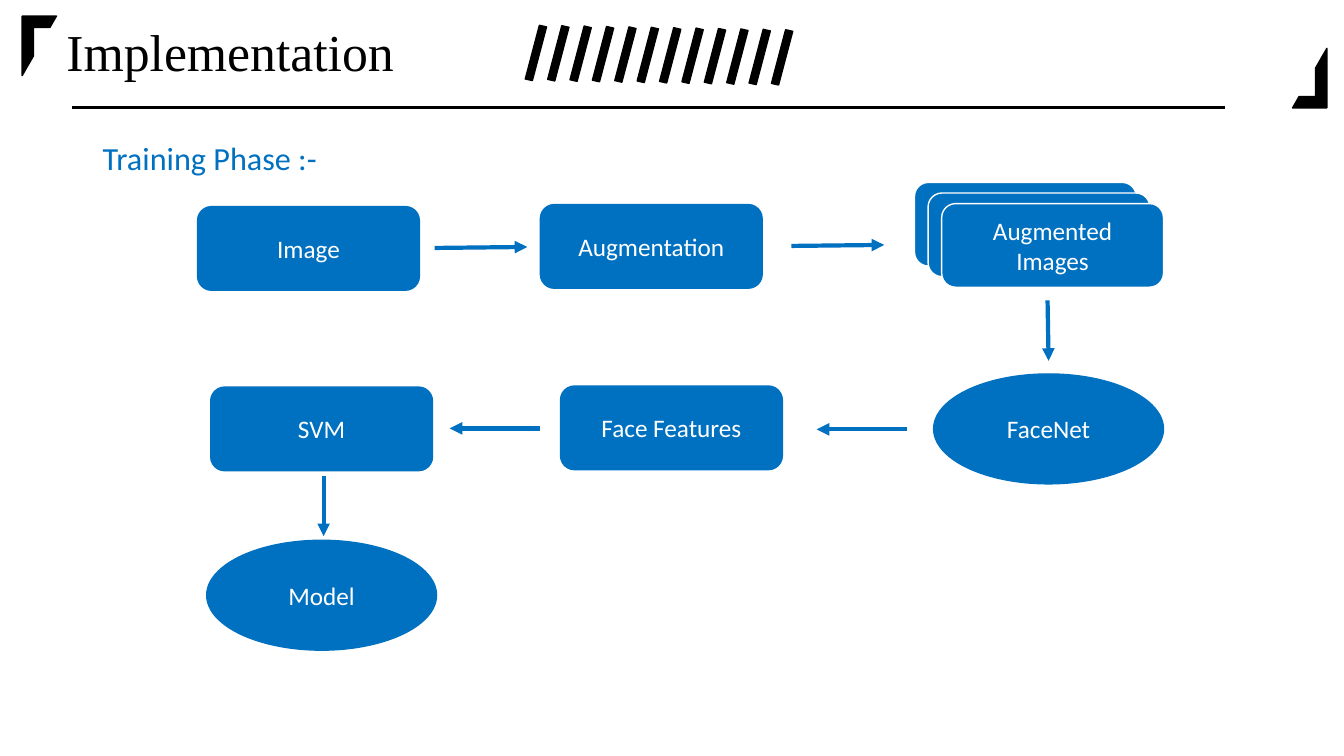
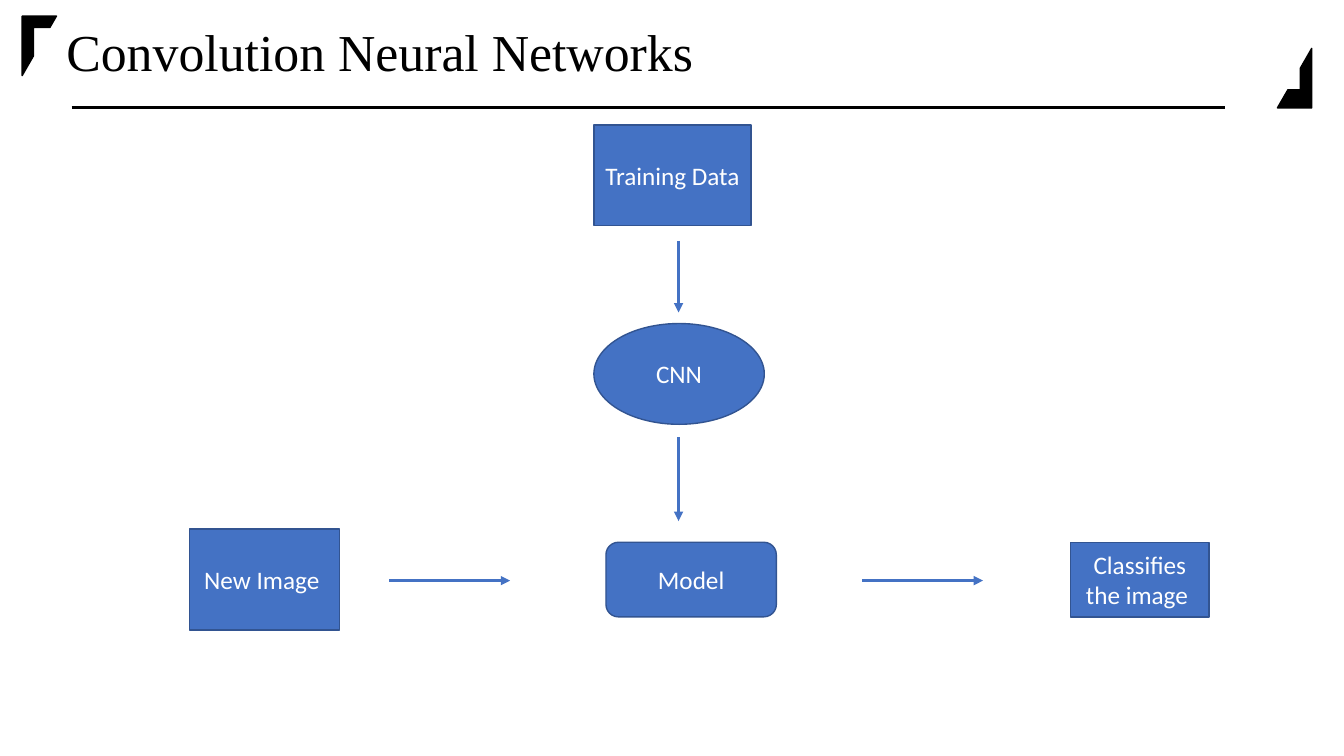
import pptx
import pptx.util
import pptx.dml.color
import pptx.enum.shapes
import pptx.enum.text
import pptx.oxml
import pptx.oxml.ns

Inches = pptx.util.Inches
Pt = pptx.util.Pt
SHAPE = pptx.enum.shapes.MSO_SHAPE
MIDDLE = pptx.enum.text.MSO_ANCHOR.MIDDLE
CENTER = pptx.enum.text.PP_ALIGN.CENTER

BLACK, WHITE = "000000", "FFFFFF"
BLUE = "0070C0"
ACCENT, ACCENT_EDGE = "4472C4", "325491"
TITLE_FONT, BODY_FONT = "Times New Roman", "Calibri"


def color(value):
    return pptx.dml.color.RGBColor.from_string(value)


def write(shape, text, size, font, ink, align=None):
    frame = shape.text_frame
    frame.word_wrap = True
    frame.text = text
    paragraph = frame.paragraphs[0]
    paragraph.alignment = align
    run = paragraph.runs[0]
    run.font.size = Pt(size)
    run.font.name = font
    run.font.color.rgb = color(ink)
    return paragraph


def add_text(slide, box, text, size, font, ink):
    shape = slide.shapes.add_textbox(*map(Inches, box))
    return shape, write(shape, text, size, font, ink)


def add_shape(slide, kind, box, fill, edge, label=None, rotation=0):
    shape = slide.shapes.add_shape(kind, *map(Inches, box))
    shape.shadow.inherit = False
    shape.fill.solid()
    shape.fill.fore_color.rgb = color(fill)
    shape.line.color.rgb = color(edge)
    shape.line.width = Pt(1)
    shape.rotation = rotation
    if label:
        shape.text_frame.vertical_anchor = MIDDLE
        write(shape, label, 18, BODY_FONT, WHITE, CENTER)
    return shape


def add_line(slide, start, end, ink, width, arrow=False):
    line = slide.shapes.add_connector(
        pptx.enum.shapes.MSO_CONNECTOR.STRAIGHT, *map(Inches, (*start, *end)))
    line.line.color.rgb = color(ink)
    line.line.width = Pt(width)
    if arrow:
        tail = pptx.oxml.parse_xml(
            f'<a:tailEnd {pptx.oxml.ns.nsdecls("a")} type="triangle"/>')
        line.line._get_or_add_ln().append(tail)
    line._element.spPr.append(pptx.oxml.parse_xml(
        f'<a:effectLst {pptx.oxml.ns.nsdecls("a")}/>'))


def add_header(slide, title, corner_left, corner_thickness):
    shape, paragraph = add_text(
        slide, (0.56, 0.01, 12.56, 1.06), title, 37, TITLE_FONT, BLACK)
    shape.fill.solid()
    shape.fill.fore_color.rgb = color(WHITE)
    shape.text_frame.vertical_anchor = MIDDLE
    paragraph.line_spacing = 0.9
    add_shape(slide, SHAPE.HALF_FRAME, (0.22, 0.16, 0.34, 0.59), BLACK, BLACK)
    corner = add_shape(slide, SHAPE.HALF_FRAME, (corner_left, 0.48, 0.34, 0.59),
                       BLACK, BLACK, rotation=180)
    corner.adjustments[0] = corner_thickness
    add_line(slide, (0.71, 1.07), (12.15, 1.07), BLACK, 2.25)


def add_slashes(slide, left, top, count=12, pitch=0.222, drift=0.004):
    for index in range(count):
        box = (left + index * pitch, top + index * drift, 0.09, 0.55)
        add_shape(slide, SHAPE.FLOWCHART_DATA, box, BLACK, BLACK, rotation=12.9)


def add_flow(slide, left, top, nodes, arrows, fill, edge, arrow_width):
    for kind, x, y, width, height, label in nodes:
        add_shape(slide, kind, (left + x, top + y, width, height), fill, edge, label)
    for x, y, dx, dy in arrows:
        start = (left + x, top + y)
        add_line(slide, start, (start[0] + dx, start[1] + dy), fill, arrow_width, True)


def add_image_stack(slide, left, top, label):
    for index, text in enumerate((None, None, label)):
        box = (left + 0.135 * index, top + 0.105 * index, 2.2, 0.83)
        add_shape(slide, SHAPE.ROUNDED_RECTANGLE, box, BLUE, WHITE, text)


def build_training_slide(slide):
    add_header(slide, "Implementation", 12.82, 0.333)
    add_slashes(slide, 5.27, 0.25)
    add_text(slide, (0.92, 1.32, 2.78, 0.49), "Training Phase :-", 23, BODY_FONT, BLUE)
    left, top = 1.96, 1.81
    step, model = (2.2, 0.83), (2.28, 1.09)
    nodes = [
        (SHAPE.ROUNDED_RECTANGLE, 0, 0.24, *step, "Image"),
        (SHAPE.ROUNDED_RECTANGLE, 3.4, 0.22, *step, "Augmentation"),
        (SHAPE.OVAL, 7.3, 1.9, *model, "FaceNet"),
        (SHAPE.ROUNDED_RECTANGLE, 3.6, 2.02, *step, "Face Features"),
        (SHAPE.ROUNDED_RECTANGLE, 0.13, 2.03, *step, "SVM"),
        (SHAPE.OVAL, 0.09, 3.55, *model, "Model"),
    ]
    arrows = [
        (2.35, 0.65, 0.92, -0.01),
        (5.89, 0.63, 0.92, -0.01),
        (8.43, 1.17, 0.01, 0.6),
        (7.04, 2.45, -0.9, 0),
        (3.4, 2.44, -0.9, 0),
        (1.25, 2.91, 0, 0.6),
    ]
    add_flow(slide, left, top, nodes, arrows, BLUE, BLUE, 3)
    add_image_stack(slide, left + 7.11, top, "Augmented Images")


def build_network_slide(slide):
    add_header(slide, "Convolution Neural Networks", 12.67, 0.53)
    nodes = [
        (SHAPE.RECTANGLE, 4.01, 0, 1.56, 1, "Training Data"),
        (SHAPE.OVAL, 4.01, 1.97, 1.69, 1, "CNN"),
        (SHAPE.ROUNDED_RECTANGLE, 4.13, 4.14, 1.69, 0.74, "Model"),
        (SHAPE.RECTANGLE, 0, 4.01, 1.49, 1, "New Image "),
        (SHAPE.RECTANGLE, 8.74, 4.14, 1.37, 0.74, "Classifies the image "),
    ]
    arrows = [
        (4.85, 1.15, 0, 0.71),
        (4.85, 3.1, 0, 0.83),
        (1.98, 4.52, 1.2, 0),
        (6.67, 4.52, 1.2, 0),
    ]
    add_flow(slide, 1.88, 1.24, nodes, arrows, ACCENT, ACCENT_EDGE, 2.25)


def main():
    presentation = pptx.Presentation()
    presentation.slide_width = Inches(13.33)
    presentation.slide_height = Inches(7.5)
    for build in (build_training_slide, build_network_slide):
        build(presentation.slides.add_slide(presentation.slide_layouts[6]))
    presentation.save("out.pptx")


if __name__ == "__main__":
    main()
